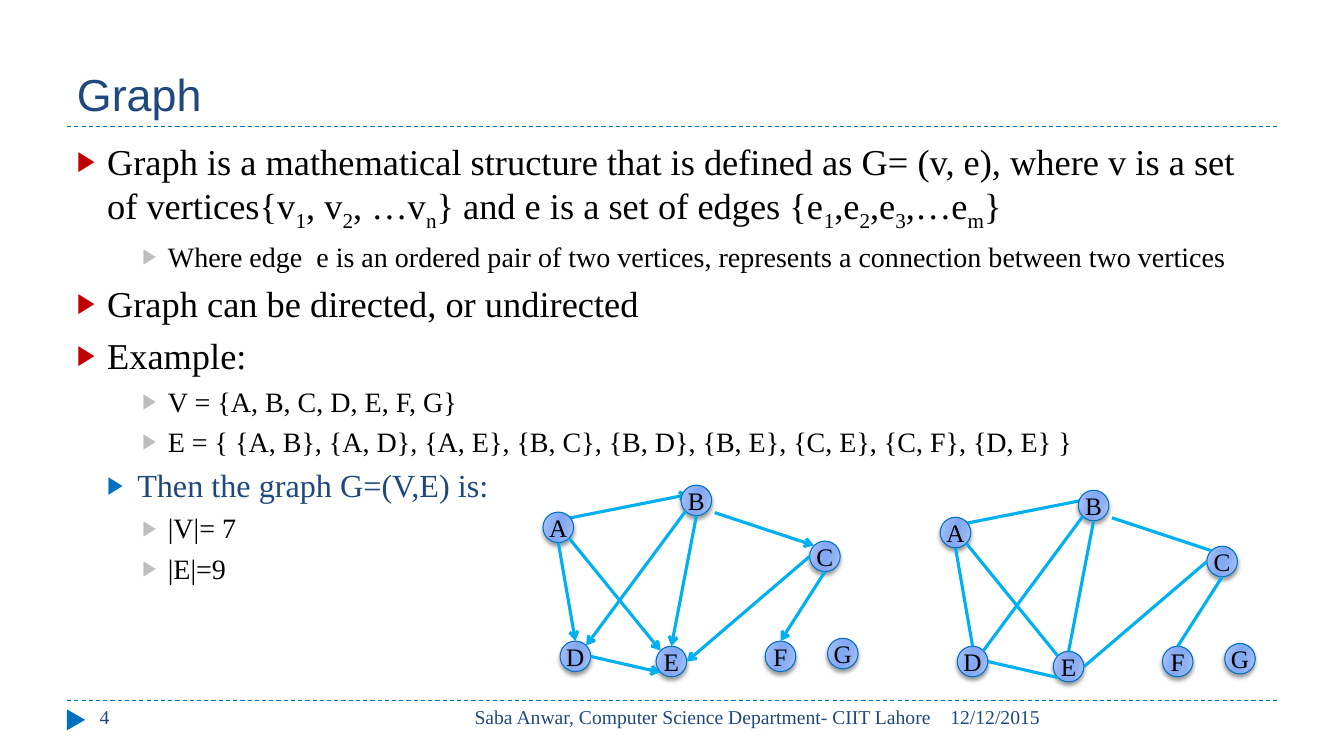
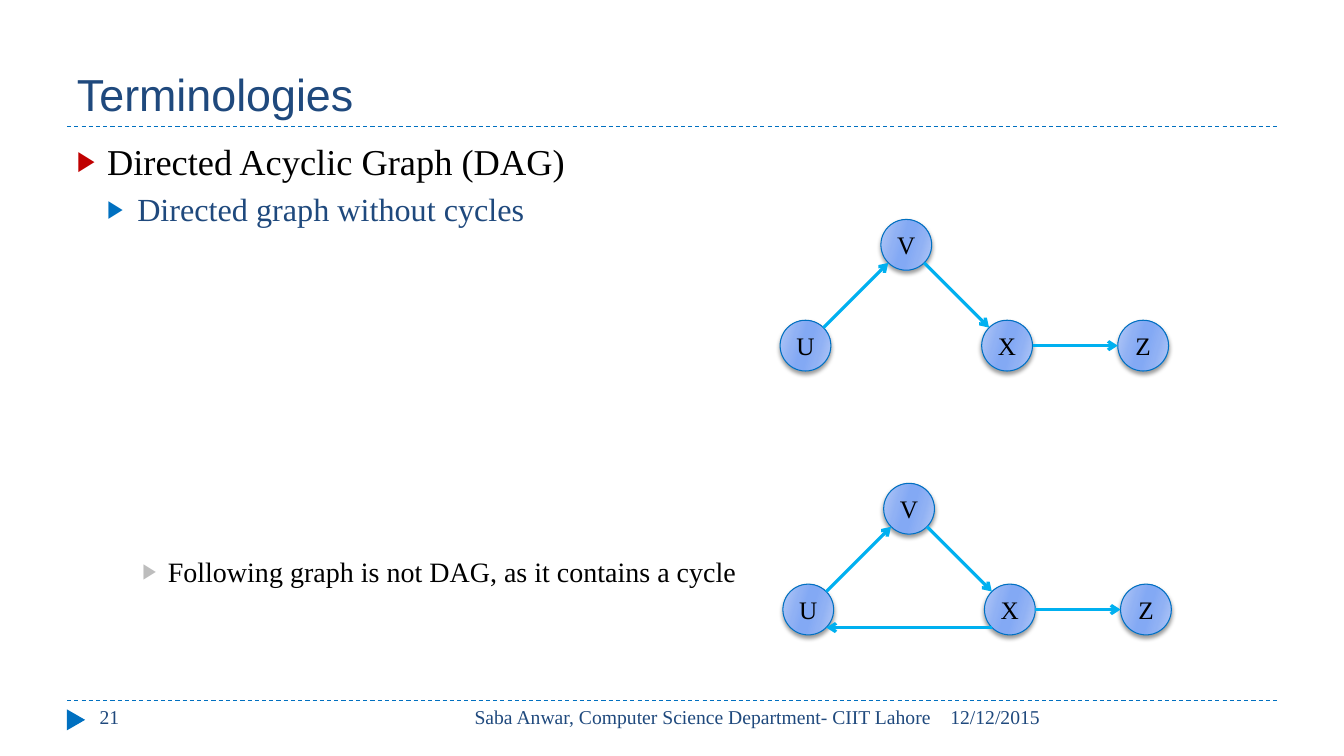
from pptx import Presentation
from pptx import util as u
from pptx.dml.color import RGBColor
from pptx.enum import dml, shapes, text
from pptx.oxml import parse_xml
from pptx.oxml.ns import nsdecls, qn

COLORS = {
    "navy": "1F497D", "blue": "0070C0", "sky": "00B0F0", "red": "C00000",
    "grey": "BDBDBD", "black": "000000",
    "pale": "B4C9F6", "mid": "90B1F4", "deep": "83A9F4",
}
SERIF, SANS = "Times New Roman", "Arial"
NODE_STOPS = [(0, "pale"), (30, "mid"), (45, "deep"), (55, "deep"), (73, "mid"), (100, "pale")]
LEVELS = [
    dict(left=0.76, hang=0.76, before=6, size=26, color="black", bullet="red"),
    dict(left=1.52, hang=0.76, before=5, size=23, color="navy", bullet="blue"),
    dict(left=2.29, hang=0.64, before=5, size=20, color="black", bullet="grey"),
]
DIAGONAL = 0.71
SITES = {
    "top": (0, -1), "bottom": (0, 1), "left": (-1, 0), "right": (1, 0),
    "top left": (-DIAGONAL, -DIAGONAL), "top right": (DIAGONAL, -DIAGONAL),
    "bottom left": (-DIAGONAL, DIAGONAL), "bottom right": (DIAGONAL, DIAGONAL),
    "inner top": (0, -0.47), "inner left": (-0.47, -0.4), "outer right": (1.2, 0.8),
}

SEVEN_NODES = {
    "A": (14.07, 13.29), "B": (17.55, 12.61), "C": (20.79, 14.02), "D": (14.5, 16.54),
    "E": (16.92, 16.67), "F": (19.67, 16.54), "G": (21.24, 16.47),
}
SEVEN_UNDER = [("A", "inner top", "B", "inner left")]
SEVEN_OVER = [
    ("A", "bottom right", "E", "top left"), ("A", "bottom", "D", "top"),
    ("B", "outer right", "C", "top left"), ("B", "bottom", "E", "top"),
    ("B", "bottom left", "D", "top right"), ("C", "left", "E", "right"),
    ("C", "bottom", "F", "top"), ("D", "right", "E", "bottom left"),
]
FOUR_NODES = {"U": (20.3, 8.71), "V": (22.84, 6.17), "X": (25.38, 8.71), "Z": (28.81, 8.71)}
ACYCLIC = [
    ("U", "top right", "V", "bottom left"), ("V", "bottom right", "X", "top left"),
    ("X", "right", "Z", "left"),
]
CYCLE = ACYCLIC + [("X", "bottom left", "U", "bottom right")]

SLIDES = [
    dict(
        title="Graph", number="4",
        body=[
            (0, "Graph is a mathematical structure that is defined as G= (v, e), where v is a set "
                "of vertices{v~1~, v~2~, …v~n~} and e is a set of edges {e~1~,e~2~,e~3~,…e~m~}"),
            (2, "Where edge  e is an ordered pair of two vertices, represents a connection "
                "between two vertices"),
            (0, "Graph can be directed, or undirected"),
            (0, "Example:"),
            (2, "V = {A, B, C, D, E, F, G}"),
            (2, "E = { {A, B}, {A, D}, {A, E}, {B, C}, {B, D}, {B, E}, {C, E}, {C, F}, {D, E} }"),
            (1, "Then the graph G=(V,E) is:"),
            (2, "|V|= 7"),
            (2, "|E|=9"),
        ],
        gaps={},
        graphs=[
            dict(nodes=SEVEN_NODES, under=SEVEN_UNDER, over=SEVEN_OVER, size=0.77,
                 shift=(10.01, 0.13), directed=False),
            dict(nodes=SEVEN_NODES, under=SEVEN_UNDER, over=SEVEN_OVER, size=0.77,
                 shift=(0, 0), directed=True),
        ],
    ),
    dict(
        title="Terminologies", number="21",
        body=[
            (0, "Directed Acyclic Graph (DAG)"),
            (1, "Directed graph without cycles"),
            (2, "Following graph is not DAG, as it contains a cycle"),
        ],
        gaps={2: 233},
        graphs=[
            dict(nodes=FOUR_NODES, under=[], over=ACYCLIC, size=1.28, shift=(0, 0), directed=True),
            dict(nodes=FOUR_NODES, under=[], over=CYCLE, size=1.28, shift=(0.07, 6.65), directed=True),
        ],
    ),
]


def add_span(para, words, size, color, font=SERIF):
    span = para.add_run()
    span.text = words
    span.font.size = u.Pt(size)
    span.font.name = font
    span.font.color.rgb = RGBColor.from_string(COLORS[color])
    return span


def add_line(parent, start, end, color, width):
    line = parent.shapes.add_connector(
        shapes.MSO_CONNECTOR.STRAIGHT, *[u.Cm(value) for value in (*start, *end)])
    line.line.color.rgb = RGBColor.from_string(COLORS[color])
    line.line.width = u.Pt(width)
    line._element.spPr.append(parse_xml(f"<a:effectLst {nsdecls('a')}/>"))
    return line


deck = Presentation()
deck.slide_width, deck.slide_height = u.Cm(33.87), u.Cm(19.05)

for content in SLIDES:
    page = deck.slides.add_slide(deck.slide_layouts[6])

    for y in (17.65, 3.18):
        rule = add_line(page, (1.69, y), (32.17, y), "blue", 0.75)
        rule.line.dash_style = dml.MSO_LINE.DASH

    marker = page.shapes.add_shape(
        shapes.MSO_SHAPE.ISOSCELES_TRIANGLE, u.Cm(1.65), u.Cm(17.91), u.Cm(0.53), u.Cm(0.46))
    marker.rotation = 90
    marker.shadow.inherit = False
    marker.fill.solid()
    marker.fill.fore_color.rgb = RGBColor.from_string(COLORS["blue"])
    marker.line.fill.background()

    labels = [
        (content["title"], (1.69, 0.43, 30.48, 2.74), 32, SANS, "LEFT", "BOTTOM"),
        ("12/12/2015", (23.7, 17.65, 8.48, 1.02), 14, SERIF, "LEFT", "TOP"),
        ("Saba Anwar, Computer Science Department- CIIT Lahore",
         (10.74, 17.65, 12.98, 1.02), 14, SERIF, "RIGHT", "TOP"),
        (content["number"], (2.26, 17.65, 7.34, 1.02), 14, SERIF, "LEFT", "TOP"),
    ]
    for words, place, size, font, align, anchor in labels:
        box = page.shapes.add_textbox(*[u.Cm(value) for value in place])
        box.text_frame.word_wrap = True
        box.text_frame.vertical_anchor = text.MSO_ANCHOR[anchor]
        para = box.text_frame.paragraphs[0]
        para.alignment = text.PP_ALIGN[align]
        add_span(para, words, size, "navy", font)

    body = page.shapes.add_textbox(u.Cm(1.69), u.Cm(3.38), u.Cm(30.48), u.Cm(13.72))
    body.text_frame.word_wrap = True
    for index, (level, words) in enumerate(content["body"]):
        style = LEVELS[level]
        para = body.text_frame.paragraphs[0] if index == 0 else body.text_frame.add_paragraph()
        para.level = level
        if index:
            para.space_before = u.Pt(content["gaps"].get(index, style["before"]))
        properties = para._p.get_or_add_pPr()
        properties.set("marL", str(u.Cm(style["left"])))
        properties.set("indent", str(-u.Cm(style["hang"])))
        for bullet in (
            f'<a:buClr {nsdecls("a")}><a:srgbClr val="{COLORS[style["bullet"]]}"/></a:buClr>',
            f'<a:buSzPct {nsdecls("a")} val="76000"/>',
            f'<a:buFont {nsdecls("a")} typeface="{SANS}"/>',
            f'<a:buChar {nsdecls("a")} char="▶"/>',
        ):
            properties.append(parse_xml(bullet))
        for part, piece in enumerate(words.split("~")):
            span = add_span(para, piece, style["size"], style["color"])
            if part % 2:
                span._r.get_or_add_rPr().set("baseline", "-25000")

    for graph in content["graphs"]:
        group = page.shapes.add_group_shape()
        radius = graph["size"] / 2
        shift_x, shift_y = graph["shift"]
        centers = {name: (x + shift_x, y + shift_y) for name, (x, y) in graph["nodes"].items()}

        for layer in ("under", "nodes", "over"):
            if layer == "nodes":
                for name, (x, y) in centers.items():
                    node = group.shapes.add_shape(
                        shapes.MSO_SHAPE.OVAL, u.Cm(x - radius), u.Cm(y - radius),
                        u.Cm(graph["size"]), u.Cm(graph["size"]))
                    node.fill.gradient()
                    node.fill.gradient_angle = 344
                    stops = node._element.spPr.find(qn("a:gradFill")).find(qn("a:gsLst"))
                    for stop in list(stops):
                        stops.remove(stop)
                    for position, color in NODE_STOPS:
                        stops.append(parse_xml(
                            f'<a:gs {nsdecls("a")} pos="{position * 1000}">'
                            f'<a:srgbClr val="{COLORS[color]}"/></a:gs>'))
                    node.line.color.rgb = RGBColor.from_string(COLORS["blue"])
                    node.line.width = u.Pt(0.75)
                    node.shadow.inherit = False
                    node._element.spPr.find(qn("a:effectLst")).append(parse_xml(
                        f'<a:outerShdw {nsdecls("a")} blurRad="{u.Pt(3)}" dist="{u.Pt(2)}" '
                        f'dir="5400000" rotWithShape="0"><a:srgbClr val="{COLORS["black"]}">'
                        '<a:alpha val="40000"/></a:srgbClr></a:outerShdw>'))
                    node.text_frame.word_wrap = False
                    node.text_frame.vertical_anchor = text.MSO_ANCHOR.MIDDLE
                    para = node.text_frame.paragraphs[0]
                    para.alignment = text.PP_ALIGN.CENTER
                    add_span(para, name, 18, "black")
                continue
            for source, source_site, target, target_site in graph[layer]:
                start, end = [
                    [center + radius * step for center, step in zip(centers[name], SITES[site])]
                    for name, site in ((source, source_site), (target, target_site))]
                edge = add_line(group, start, end, "sky", 2.25)
                if graph["directed"]:
                    edge.line._get_or_add_ln().append(
                        parse_xml(f'<a:tailEnd {nsdecls("a")} type="arrow"/>'))

deck.save("out.pptx")
